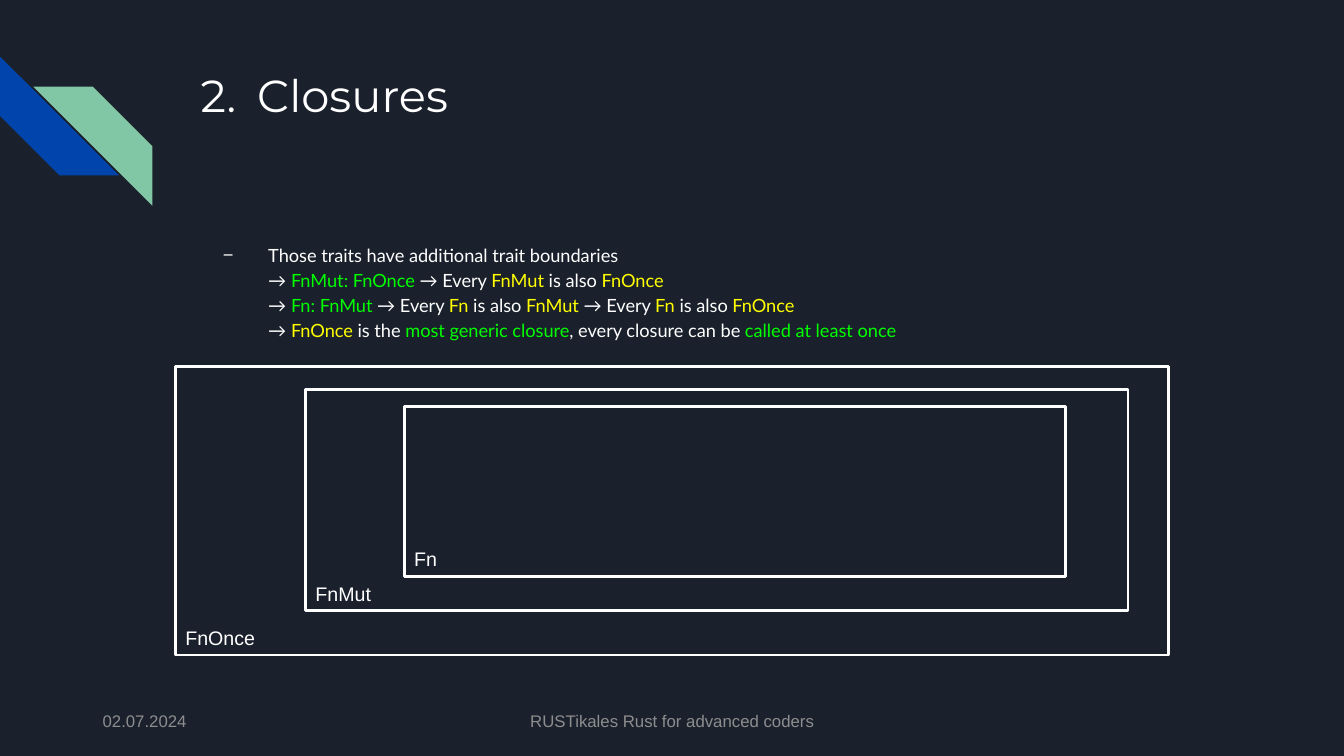
from dataclasses import dataclass

from lxml import etree
from pptx import Presentation
from pptx.dml.color import RGBColor
from pptx.enum.shapes import MSO_SHAPE
from pptx.enum.text import MSO_ANCHOR, MSO_AUTO_SIZE, PP_ALIGN
from pptx.oxml.ns import qn
from pptx.util import Inches, Pt

RECT, STRIPE = MSO_SHAPE.RECTANGLE, MSO_SHAPE.DIAGONAL_STRIPE
TOP, MIDDLE = MSO_ANCHOR.TOP, MSO_ANCHOR.MIDDLE
LEFT, CENTER = PP_ALIGN.LEFT, PP_ALIGN.CENTER
FIXED, GROW = MSO_AUTO_SIZE.NONE, MSO_AUTO_SIZE.SHAPE_TO_FIT_TEXT
WIDTH, HEIGHT = Inches(13.33), Inches(7.5)


@dataclass(frozen=True)
class Theme:
    """Colours, fonts and type sizes of the slide."""
    back: str = "1B212C"
    white: str = "FFFFFF"
    green: str = "00FF00"
    yellow: str = "FFFF00"
    grey: str = "8D8D8F"
    blue: str = "0145AC"
    mint: str = "82C7A5"
    head: str = "Montserrat"
    text: str = "Lato"
    plain: str = "Arial"
    title: int = 32
    body: int = 13
    label: int = 14
    foot: int = 12


T = Theme()
W, G, Y = T.white, T.green, T.yellow

LINES = [
    [(W, "Those traits have additional trait boundaries")],
    [(W, "→ "), (G, "FnMut: FnOnce"), (W, " → Every "), (Y, "FnMut"),
     (W, " is also "), (Y, "FnOnce")],
    [(W, "→ "), (G, "Fn: FnMut "), (W, "→ Every "), (Y, "Fn"),
     (W, " is also "), (Y, "FnMut"), (W, " → Every "), (Y, "Fn"),
     (W, " is also "), (Y, "FnOnce")],
    [(W, "→ "), (Y, "FnOnce"), (W, " is the "), (G, "most generic closure"),
     (W, ", every closure can be "), (G, "called at least once")],
]
FRAMES = [
    ("FnOnce", 6.75, (13.05, 48.53, 73.88, 38.13)),
    ("FnMut", 5.7, (22.73, 51.47, 61.2, 29.33)),
    ("Fn", 3.23, (30.08, 53.73, 49.2, 22.53)),
]


def area(x, y, w, h):
    """Turn percentages of the slide into lengths."""
    return (int(WIDTH * x / 100), int(HEIGHT * y / 100),
            int(WIDTH * w / 100), int(HEIGHT * h / 100))


def style(font, face, size, color=None):
    """Set the face, size and colour of a font."""
    font.name, font.size = face, Pt(size)
    if color:
        font.color.rgb = RGBColor.from_string(color)


def bullet(para, left, hang, kind, **attrs):
    """Give a paragraph a white bullet and a hanging indent."""
    props = para._p.get_or_add_pPr()
    props.set("marL", str(Inches(left)))
    props.set("indent", str(-Inches(hang)))
    tint = etree.SubElement(props, qn("a:buClr"))
    etree.SubElement(tint, qn("a:srgbClr"), val=W)
    etree.SubElement(props, qn(kind), **attrs)


def place(holder, box):
    """Move a placeholder and return its first paragraph."""
    holder.left, holder.top, holder.width, holder.height = area(*box)
    frame = holder.text_frame
    frame.auto_size, frame.vertical_anchor = FIXED, TOP
    frame.margin_left = frame.margin_right = Inches(0.1)
    frame.margin_top = frame.margin_bottom = Inches(0.1)
    para = frame.paragraphs[0]
    para.alignment, para.space_before = LEFT, Pt(0)
    return para


def title(holder, text):
    """Fill the numbered title."""
    para = place(holder, (14.18, 7.6, 76.95, 17.73))
    bullet(para, 0.56, 0.56, "a:buAutoNum", type="arabicPeriod", startAt="2")
    para.add_run().text = text
    style(para.font, T.head, T.title, W)


def body(holder, lines):
    """Fill the body with lines of coloured runs."""
    para = place(holder, (14.18, 30.53, 76.95, 56.53))
    para.line_spacing = 1.15
    bullet(para, 0.67, 0.45, "a:buChar", char="−")
    style(para.font, T.text, T.body)
    for row, line in enumerate(lines):
        if row:
            para.add_line_break()
        for color, text in line:
            run = para.add_run()
            run.text = text
            run.font.color.rgb = RGBColor.from_string(color)


def stripe(slide, box, turn, color):
    """Draw one diagonal stripe of the corner ornament."""
    shape = slide.shapes.add_shape(STRIPE, *area(*box))
    shape.shadow.inherit = False
    shape.rotation = turn
    shape.fill.solid()
    shape.fill.fore_color.rgb = RGBColor.from_string(color)
    shape.line.fill.background()


def note(slide, box, text, size, color, align=LEFT, wrap=True):
    """Add a one-line text box."""
    frame = slide.shapes.add_textbox(*area(*box)).text_frame
    frame.word_wrap = wrap
    frame.auto_size = FIXED if wrap else GROW
    frame.vertical_anchor = MIDDLE if wrap else TOP
    para = frame.paragraphs[0]
    para.alignment = align
    para.add_run().text = text
    style(para.font, T.plain, size, color)


def nest(slide, name, span, box):
    """Draw a frame with its name in the bottom left corner."""
    shape = slide.shapes.add_shape(RECT, *area(*box))
    shape.shadow.inherit = False
    shape.fill.background()
    shape.line.color.rgb = RGBColor.from_string(W)
    shape.line.width = Pt(2)
    x, y, _, h = box
    tall = 4.53
    note(slide, (x, y + h - tall, span, tall), name, T.label, W, wrap=False)


def main():
    """Build the slide and save it."""
    deck = Presentation()
    deck.slide_width, deck.slide_height = WIDTH, HEIGHT
    slide = deck.slides.add_slide(deck.slide_layouts[1])
    fill = slide.background.fill
    fill.solid()
    fill.fore_color.rgb = RGBColor.from_string(T.back)
    stripe(slide, (0, 7.47, 8.85, 15.73), 270, T.blue)
    stripe(slide, (2.48, 11.47, 8.85, 15.73), 90, T.mint)
    title(slide.shapes.title, "Closures")
    body(slide.placeholders[1], LINES)
    note(slide, (6.9, 92.67, 22.5, 5.33), "02.07.2024", T.foot, T.grey)
    note(slide, (33.15, 92.67, 33.75, 5.33),
         "RUSTikales Rust for advanced coders", T.foot, T.grey, CENTER)
    for name, span, box in FRAMES:
        nest(slide, name, span, box)
    deck.save("out.pptx")


if __name__ == "__main__":
    main()
